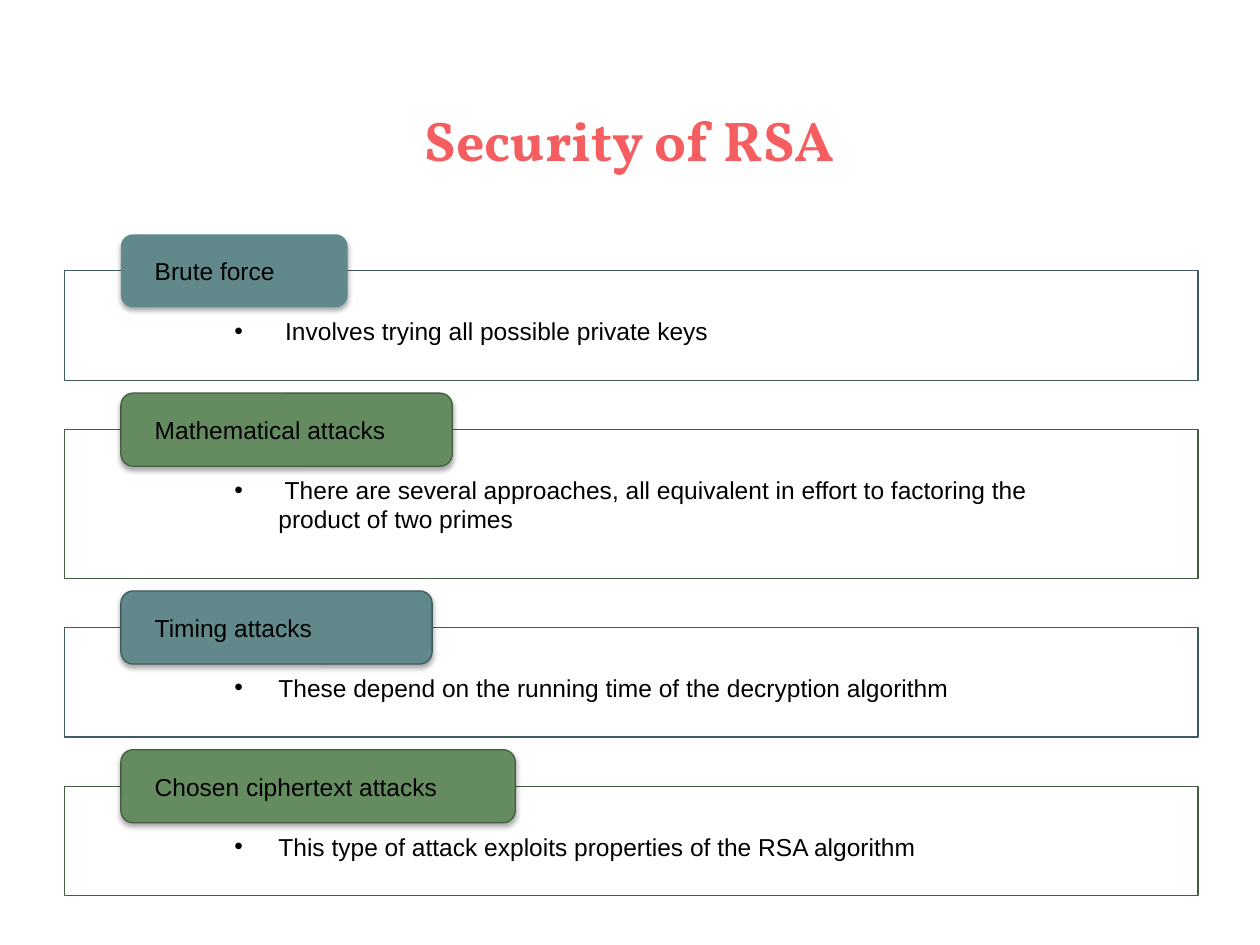
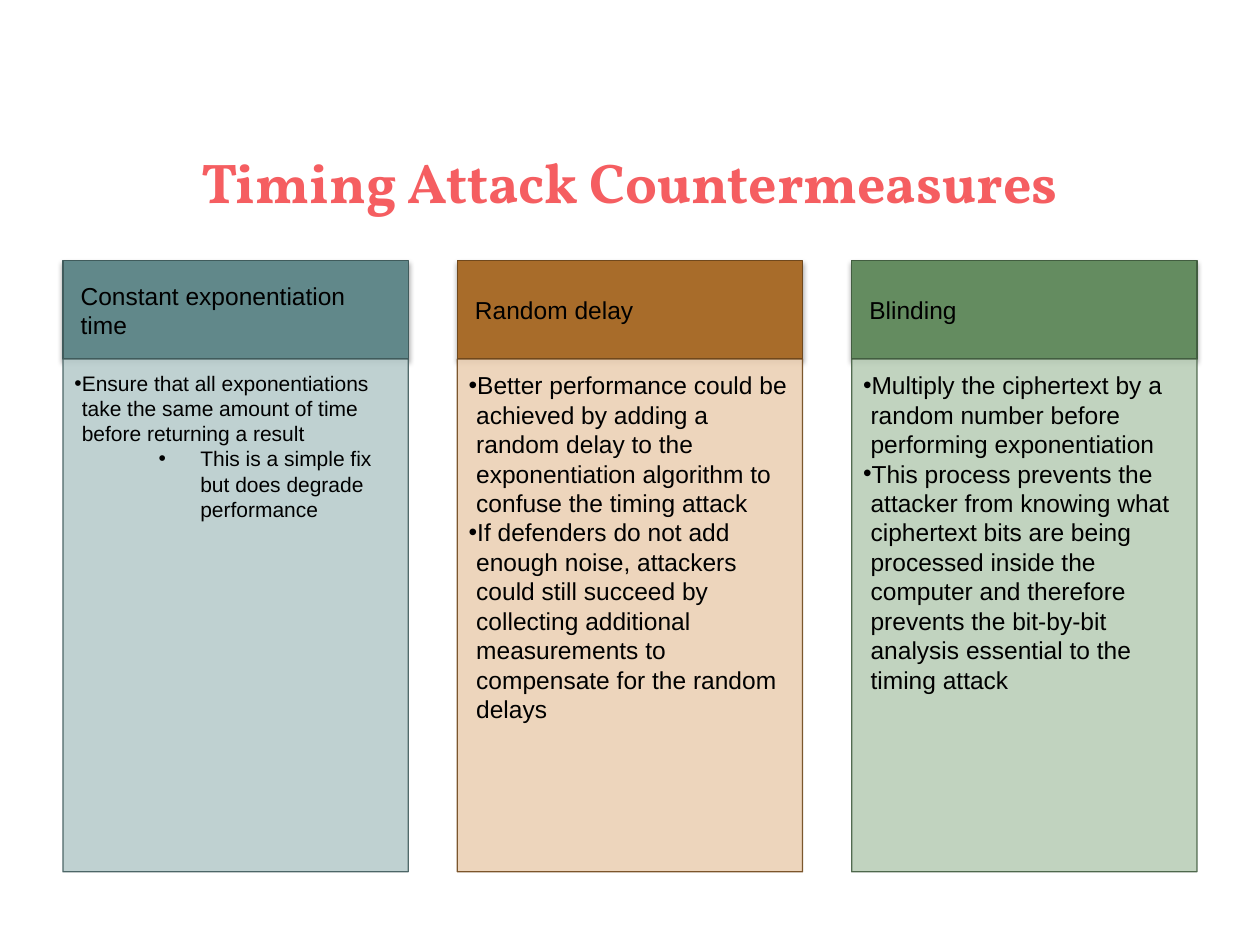
"""Build two slides on attacks against RSA and timing attack countermeasures."""
from lxml import etree
from pptx import Presentation
from pptx import util as u
from pptx.dml.color import RGBColor
from pptx.enum import shapes, text
from pptx.oxml import parse_xml
from pptx.oxml.ns import nsdecls, qn

PX = 9144
BLACK, WHITE, CORAL = "000000", "FFFFFF", "F55E61"
TEAL = ("61888A", "405B5C", "B9CDCD")
BROWN = ("A86C2A", "70481C", "ECD1B5")
GREEN = ("648C60", "425D40", "BBCFB9")
RECTANGLE = shapes.MSO_SHAPE.RECTANGLE
ROUNDED = shapes.MSO_SHAPE.ROUNDED_RECTANGLE
TOP, MIDDLE = text.MSO_ANCHOR.TOP, text.MSO_ANCHOR.MIDDLE
SHADOW = (f'<a:outerShdw {nsdecls("a")} blurRad="39370" dist="22860" dir="5400000" rotWithShape="0">'
          '<a:srgbClr val="000000"><a:alpha val="35000"/></a:srgbClr></a:outerShdw>')


def colour(value):
    return RGBColor.from_string(value)


def add_block(page, kind, place, fill, edge, lines, margins, anchor=TOP, opacity=100, shadow=False):
    box = page.shapes.add_shape(kind, *(length * PX for length in place))
    box.shadow.inherit = False
    box.fill.solid()
    box.fill.fore_color.rgb = colour(fill)
    if edge:
        box.line.color.rgb = colour(edge)
        box.line.width = u.Pt(0.75)
    else:
        box.line.fill.background()
    properties = box._element.spPr
    if opacity < 100:
        for shade in properties.iter(qn("a:srgbClr")):
            etree.SubElement(shade, qn("a:alpha"), val=str(opacity * 1000))
    if shadow:
        properties.find(qn("a:effectLst")).append(parse_xml(SHADOW))

    frame = box.text_frame
    frame.word_wrap = True
    frame.vertical_anchor = anchor
    frame.margin_left, frame.margin_top, frame.margin_right, frame.margin_bottom = (
        margin * PX for margin in margins)
    for number, (words, size, left, hanging) in enumerate(lines):
        para = frame.add_paragraph() if number else frame.paragraphs[0]
        para.text = words
        para.alignment = text.PP_ALIGN.LEFT
        if hanging:
            settings = para._p.get_or_add_pPr()
            settings.set("marL", str(left * PX))
            settings.set("indent", str(-hanging * PX))
            bullet_colour = etree.SubElement(settings, qn("a:buClr"))
            etree.SubElement(bullet_colour, qn("a:srgbClr"), val=BLACK)
            etree.SubElement(settings, qn("a:buFont"), typeface="Arial")
            etree.SubElement(settings, qn("a:buChar"), char="•")
        para.font.name = "Arial"
        para.font.size = u.Pt(size)
        para.font.color.rgb = colour(BLACK)


deck = Presentation()
deck.slide_width, deck.slide_height = 1000 * PX, 750 * PX

titles = [
    ("Security of RSA", (0, 17, 1000, 125)),
    ("Timing Attack Countermeasures", (50, 0, 900, 175)),
]
for words, place in titles:
    page = deck.slides.add_slide(deck.slide_layouts[6])
    frame = page.shapes.add_textbox(*(length * PX for length in place)).text_frame
    frame.word_wrap = True
    frame.vertical_anchor = text.MSO_ANCHOR.BOTTOM
    para = frame.paragraphs[0]
    para.text = words
    para.alignment = text.PP_ALIGN.CENTER
    para.line_spacing = 3.22
    para.font.name = "Vollkorn"
    para.font.size = u.Pt(32)
    para.font.bold = True
    para.font.color.rgb = colour(CORAL)
attack_page, defence_page = deck.slides

attacks = [
    ("Brute force", 180, 87, TEAL, None, " Involves trying all possible private keys"),
    ("Mathematical attacks", 263, 118, GREEN, GREEN[1],
     " There are several approaches, all equivalent in effort to factoring the product of two primes"),
    ("Timing attacks", 247, 87, TEAL, TEAL[1],
     "These depend on the running time of the decryption algorithm"),
    ("Chosen ciphertext attacks", 313, 87, GREEN, GREEN[1],
     "This type of attack exploits properties of the RSA algorithm"),
]
top = 215
for name, tag_width, height, (fill, edge, _), tag_edge, detail in attacks:
    add_block(attack_page, RECTANGLE, (51, top, 900, height), WHITE, edge,
              [(detail, 14, 100, 35)], (70, 36, 70, 12))
    add_block(attack_page, ROUNDED, (96, top - 29, tag_width, 58), fill, tag_edge,
              [(name, 14, 0, 0)], (24, 0, 24, 0), MIDDLE, shadow=True)
    top += height + 39

countermeasures = [
    ("Constant exponentiation time", TEAL, [
        ("Ensure that all exponentiations take the same amount of time before returning a result",
         12, 6, 33),
        ("This is a simple fix but does degrade performance", 12, 100, 33),
    ]),
    ("Random delay", BROWN, [
        ("Better performance could be achieved by adding a random delay to the exponentiation "
         "algorithm to confuse the timing attack", 14, 6, 35),
        ("If defenders do not add enough noise, attackers could still succeed by collecting "
         "additional measurements to compensate for the random delays", 14, 6, 35),
    ]),
    ("Blinding", GREEN, [
        ("Multiply the ciphertext by a random number before performing exponentiation", 14, 6, 35),
        ("This process prevents the attacker from knowing what ciphertext bits are being processed "
         "inside the computer and therefore prevents the bit-by-bit analysis essential to the "
         "timing attack", 14, 6, 35),
    ]),
]
for column, (name, (fill, edge, tint), details) in enumerate(countermeasures):
    left = 50 + 313 * column
    add_block(defence_page, RECTANGLE, (left, 207, 274, 78), fill, edge,
              [(name, 14, 0, 0)], (14, 8, 14, 8), MIDDLE, shadow=True)
    add_block(defence_page, RECTANGLE, (left, 285, 274, 407), tint, edge,
              details, (9, 9, 12, 14), opacity=90)

deck.save("out.pptx")
